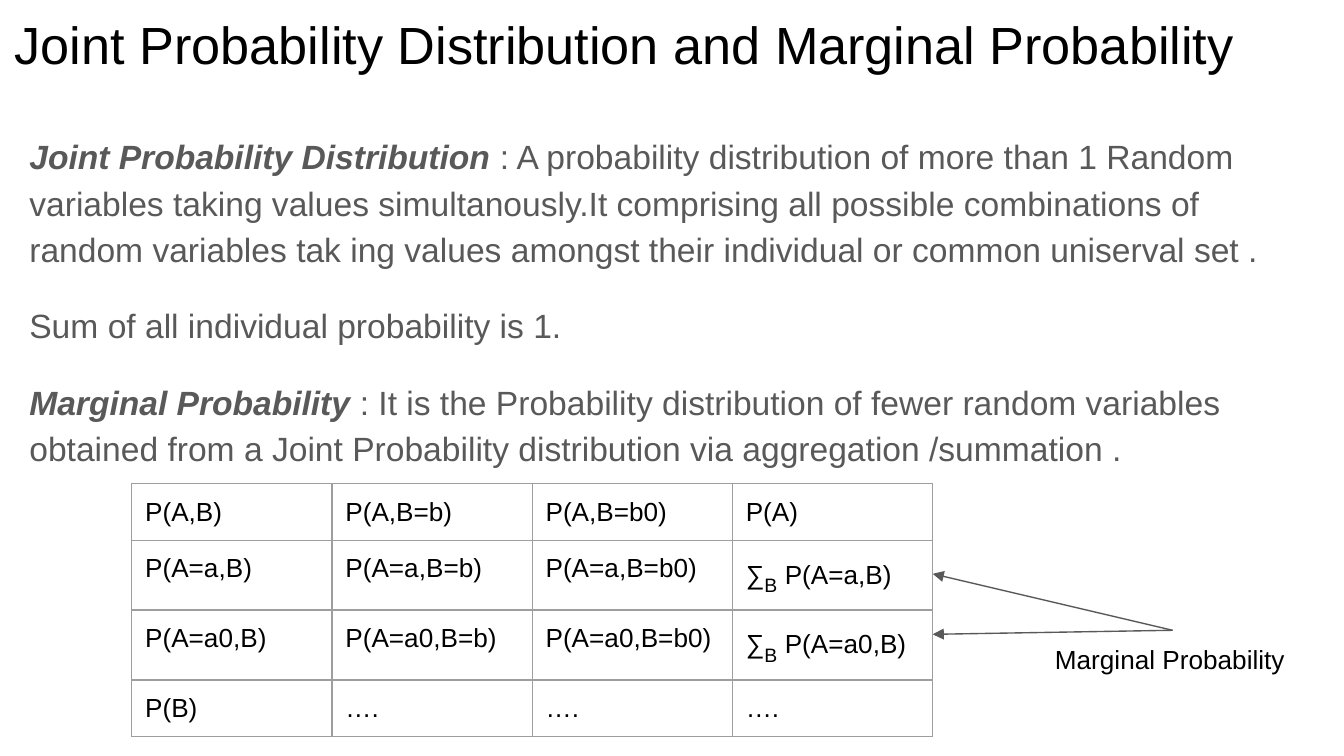
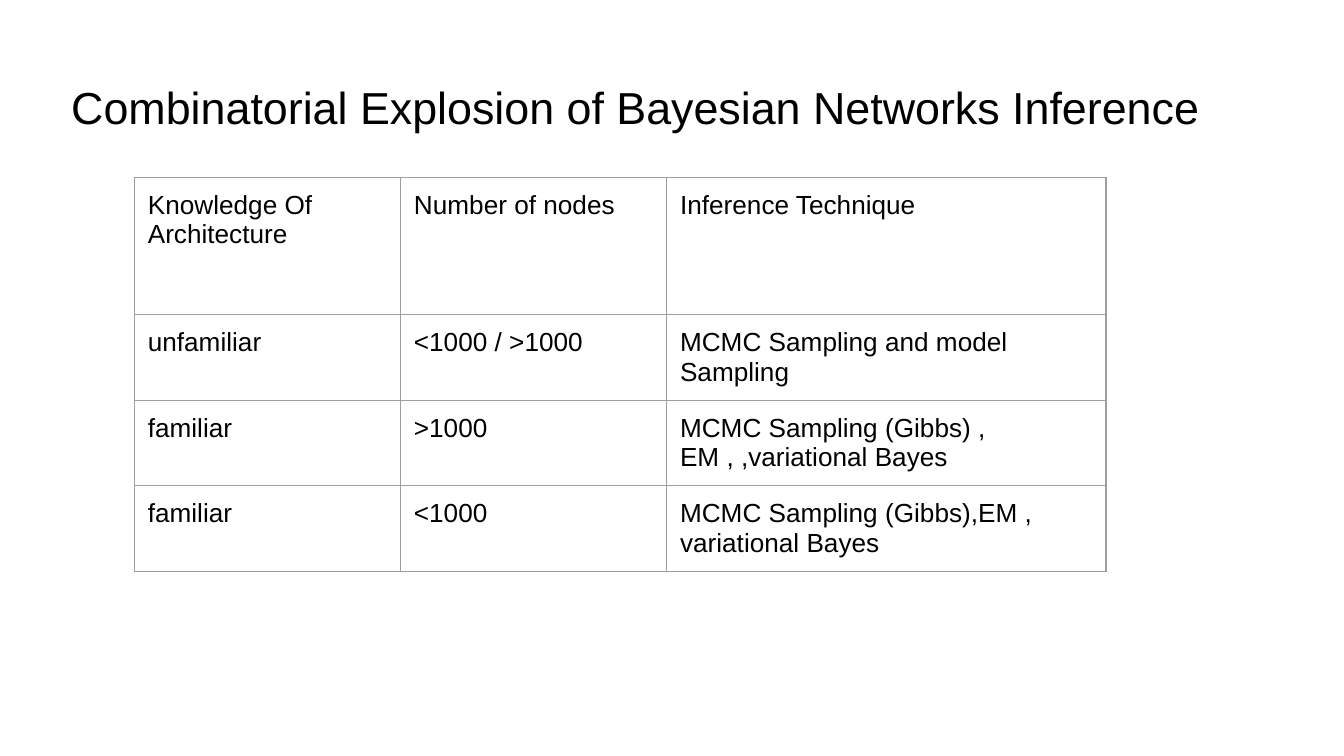
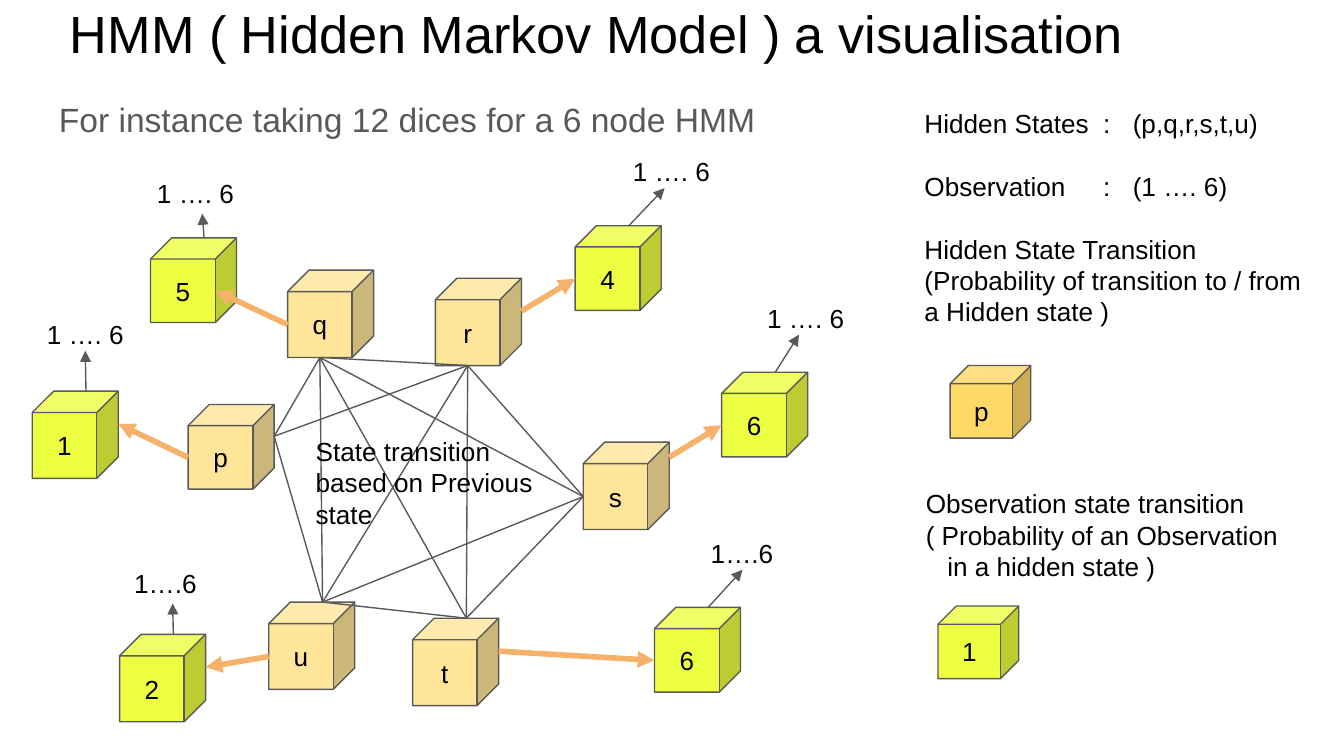
from itertools import combinations

from lxml import etree
from pptx import Presentation
from pptx import util as u
from pptx.dml.color import RGBColor
from pptx.enum import shapes, text
from pptx.oxml.ns import qn

# Shared look
W = 10
H = W * 9 / 16
FONT = "Arial"
BLACK, GREY, BORDER = "000000", "595959", "9E9E9E"
SAND, GOLD, LIME, ORANGE = "FFE599", "FFD966", "EEFF41", "F6B26B"
INSET = 0.1
BODY = dict(size=18, color=GREY, spacing=1.15)

# Slide 1 content
STRONG = dict(bold=True, italic=True)
SUB = dict(size=18, baseline=-25000)
DEFINITIONS = [
    [("Joint Probability Distribution", STRONG),
     " : A probability distribution of more than 1 Random variables taking values "
     "simultanously.It comprising all possible combinations of random variables "
     "tak ing values amongst their individual or common uniserval set ."],
    "Sum of all individual probability is 1.",
    [("Marginal Probability ", STRONG),
     ": It is the Probability distribution of fewer random variables obtained from "
     "a Joint Probability distribution via aggregation /summation ."],
]
JOINT_TABLE = [
    ["P(A,B)", "P(A,B=b)", "P(A,B=b0)", "P(A)"],
    ["P(A=a,B)", "P(A=a,B=b)", "P(A=a,B=b0)", ["∑", ("B", SUB), " P(A=a,B)"]],
    ["P(A=a0,B)", "P(A=a0,B=b)", "P(A=a0,B=b0)", ["∑", ("B", SUB), " P(A=a0,B)"]],
    ["P(B)", "….", "….", "…."],
]

# Slide 2 content
INFERENCE_TABLE = [
    ["Knowledge Of Architecture", "Number of nodes", "Inference Technique"],
    ["unfamiliar", "<1000 / >1000", "MCMC Sampling and model Sampling"],
    ["familiar", ">1000", "MCMC Sampling (Gibbs) , EM , ,variational Bayes"],
    ["familiar", "<1000", "MCMC Sampling (Gibbs),EM , variational Bayes"],
]

# Slide 3 content: state -> (left, top, height, side that joins the other states)
STATES = {
    "p": (1.4, 3.01, 0.63, "right"),
    "q": (2.14, 2.01, 0.65, "bottom"),
    "r": (3.24, 2.07, 0.65, "bottom"),
    "s": (4.34, 3.29, 0.65, "left"),
    "t": (3.07, 4.6, 0.65, "top"),
    "u": (2, 4.48, 0.65, "top"),
}
NOT_JOINED = [("p", "s"), ("p", "t")]
# state, its side, die value, (left, top, height), die side, range, range box, indent
DICE = [
    ("r", "right", "4", (4.28, 1.68, 0.63), "left", "1 …. 6", (4.45, 1.06, 0.99, 0.34), 0.16),
    ("s", "upper", "6", (5.37, 2.77, 0.63), "left", "1 …. 6", (5.45, 2.15, 0.99, 0.34), 0.16),
    ("p", "left", "1", (0.24, 2.91, 0.65), "right", "1 …. 6", (0.2, 2.27, 0.87, 0.34), 0.05),
    ("u", "left", "2", (0.89, 4.72, 0.65), "right", "1….6", (0.85, 4.12, 0.87, 0.37), 0.05),
    ("q", "left", "5", (1.12, 1.77, 0.63), "front", "1 …. 6", (1.07, 1.22, 0.87, 0.37), 0),
    ("t", "right", "6", (4.87, 4.52, 0.63), "left", "1….6", (5.03, 3.9, 0.99, 0.34), 0.16),
]
CUBE_W = 0.64
LEGEND_TABS = (1.33, 1.55)
STATE_LEGEND = [
    dict(runs="Hidden States\t:\t(p,q,r,s,t,u)", tabs=LEGEND_TABS),
    dict(runs="Observation\t:\t(1 …. 6)", tabs=LEGEND_TABS, before=16.8),
    dict(runs="Hidden State Transition", before=16.8),
    "(Probability of transition to / from a Hidden state )",
]
DIE_LEGEND = [
    "Observation state transition",
    "( Probability of an Observation",
    dict(runs="in a hidden state )", indent=0.16),
]


def rgb(color):
    return RGBColor.from_string(color)


def inches(*values):
    return [u.Inches(v) for v in values]


def add_runs(p, runs, **fmt):
    """Add one string, or a list of strings and (string, own format) pairs."""
    for run in [runs] if isinstance(runs, str) else runs:
        content, own = (run, {}) if isinstance(run, str) else run
        add_run(p, content, **{**fmt, **own})


def add_run(p, content, size=14, color=BLACK, bold=False, italic=False, baseline=None):
    r = p.add_run()
    r.text = content
    f = r.font
    f.name, f.size, f.bold, f.italic = FONT, u.Pt(size), bold, italic
    f.color.rgb = rgb(color)
    if baseline:
        r._r.get_or_add_rPr().set("baseline", str(baseline))


def write(tf, paras, align="LEFT", anchor="TOP", spacing=None, gap=0, indent=0, **fmt):
    """Fill a text frame; gap is the space before every paragraph but the first."""
    tf.word_wrap = True
    tf.auto_size = text.MSO_AUTO_SIZE.NONE
    tf.vertical_anchor = text.MSO_ANCHOR[anchor]
    tf.margin_left = tf.margin_right = tf.margin_top = tf.margin_bottom = u.Inches(INSET)
    for i, para in enumerate([paras] if isinstance(paras, str) else paras):
        p = tf.paragraphs[0] if i == 0 else tf.add_paragraph()
        opts = para if isinstance(para, dict) else dict(runs=para)
        p.alignment = text.PP_ALIGN[align]
        if spacing:
            p.line_spacing = spacing
        p.space_before = u.Pt(opts.get("before", gap if i else 0))
        pPr = p._p.get_or_add_pPr()
        pPr.set("marL", str(u.Inches(opts.get("indent", indent))))
        if "tabs" in opts:
            tabs = etree.SubElement(pPr, qn("a:tabLst"))
            for pos in opts["tabs"]:
                etree.SubElement(tabs, qn("a:tab"), pos=str(u.Inches(pos)), algn="l")
        add_runs(p, opts["runs"], **fmt)


def add_slide(prs, title, left, top, width, size=28):
    s = prs.slides.add_slide(prs.slide_layouts[5])
    sp = s.shapes.title
    sp.left, sp.top, sp.width, sp.height = inches(left, top, width, 0.63)
    write(sp.text_frame, title, size=size)
    return s


def add_text(s, box, paras, **fmt):
    sp = s.shapes.add_textbox(*inches(*box))
    write(sp.text_frame, paras, **fmt)
    return sp


def add_grid(s, left, top, cols, rows, cells):
    tbl = s.shapes.add_table(len(rows), len(cols),
                             *inches(left, top, sum(cols), sum(rows))).table
    tbl.first_row = tbl.horz_banding = False
    for col, width in zip(tbl.columns, cols):
        col.width = u.Inches(width)
    for row, height, contents in zip(tbl.rows, rows, cells):
        row.height = u.Inches(height)
        for cell, content in zip(row.cells, contents):
            cell.margin_left = cell.margin_right = u.Inches(INSET)
            cell.margin_top = cell.margin_bottom = u.Inches(INSET)
            add_runs(cell.text_frame.paragraphs[0], content)
            tcPr = cell._tc.get_or_add_tcPr()
            for side in ("lnL", "lnR", "lnT", "lnB"):
                ln = etree.SubElement(tcPr, qn("a:" + side), w=str(u.Pt(0.75)))
                fill = etree.SubElement(ln, qn("a:solidFill"))
                etree.SubElement(fill, qn("a:srgbClr"), val=BORDER)
            cell.fill.background()


def add_line(s, start, end, color=GREY, width=0.75, arrow=False):
    c = s.shapes.add_connector(shapes.MSO_CONNECTOR.STRAIGHT, *inches(*start, *end))
    c.line.color.rgb = rgb(color)
    c.line.width = u.Pt(width)
    if arrow:
        etree.SubElement(c.line._get_or_add_ln(), qn("a:tailEnd"), type="triangle")
    etree.SubElement(c._element.spPr, qn("a:effectLst"))
    return c


def add_cube(s, box, label, color):
    sp = s.shapes.add_shape(shapes.MSO_SHAPE.CUBE, *inches(*box))
    sp.shadow.inherit = False
    sp.fill.solid()
    sp.fill.fore_color.rgb = rgb(color)
    sp.line.color.rgb = rgb(GREY)
    sp.line.width = u.Pt(0.75)
    write(sp.text_frame, label, align="CENTER", anchor="MIDDLE")


def cube_point(x, y, h, side):
    """Joining point on a cube whose depth is a quarter of its shorter side."""
    w = CUBE_W
    d = min(w, h) / 4
    return {
        "top": (x + (w + d) / 2, y),
        "left": (x, y + (h + d) / 2),
        "bottom": (x + (w - d) / 2, y + h),
        "right": (x + w, y + (h - d) / 2),
        "front": (x + w - d, y + (h + d) / 2),
        "upper": (x + w, y + 0.7 * d),
    }[side]


def joint_slide(prs):
    s = add_slide(prs, "Joint Probability Distribution and Marginal Probability",
                  0.01, -0.01, 9.92)
    add_text(s, (0.12, 0.87, 9.72, 4.13), DEFINITIONS, gap=16, **BODY)
    left, cols = 0.98, [1.49] * 4
    add_grid(s, left, 3.6, cols, [0.38, 0.45, 0.38, 0.38], JOINT_TABLE)
    label = add_text(s, (7.75, 4.69, 1.95, 0.94), "Marginal Probability")
    for y in (4.27, 4.72):
        c = add_line(s, (8.73, 4.69), (left + sum(cols), y), arrow=True)
        c.begin_connect(label, 0)


def inference_slide(prs):
    s = add_slide(prs, "Combinatorial Explosion of Bayesian Networks Inference",
                  0.43, 0.49, 9.23, size=24)
    add_grid(s, 1, 1.32, [1.98, 1.98, 3.27], [1.02] + [0.42] * 3, INFERENCE_TABLE)


def hmm_slide(prs):
    s = add_slide(prs, "HMM ( Hidden Markov Model ) a visualisation", 0.42, -0.09, 9.32)
    add_text(s, (0.34, 0.59, 9.32, 0.34), "For instance taking 12 dices for a 6 node HMM",
             **BODY)

    # Hidden states, then every die with its range and arrows
    for name, (x, y, h, _) in STATES.items():
        add_cube(s, (x, y, CUBE_W, h), name, SAND)
    for name, state_side, value, (x, y, h), die_side, span, box, indent in DICE:
        add_cube(s, (x, y, CUBE_W, h), value, LIME)
        label = add_text(s, box, span, indent=indent)
        tip = (box[0] + box[2] / 2, box[1] + box[3])
        add_line(s, cube_point(x, y, h, "top"), tip, arrow=True).end_connect(label, 2)
        add_line(s, cube_point(*STATES[name][:3], state_side),
                 cube_point(x, y, h, die_side), ORANGE, 3, arrow=True)

    # Transitions between states
    for pair in combinations(STATES, 2):
        if pair not in NOT_JOINED:
            add_line(s, *(cube_point(*STATES[name]) for name in pair))
    add_text(s, (2.25, 3.14, 1.99, 0.93), ["State transition", "based on Previous state"])

    # Legend
    add_text(s, (6.78, 0.7, 3.11, 1.57), STATE_LEGEND)
    add_cube(s, (7.07, 2.72, 0.6, 0.54), "p", GOLD)
    add_text(s, (6.79, 3.53, 2.94, 0.93), DIE_LEGEND)
    add_cube(s, (6.98, 4.51, 0.6, 0.54), "1", LIME)


def main():
    prs = Presentation()
    prs.slide_width, prs.slide_height = inches(W, H)
    joint_slide(prs)
    inference_slide(prs)
    hmm_slide(prs)
    prs.save("out.pptx")


if __name__ == "__main__":
    main()
